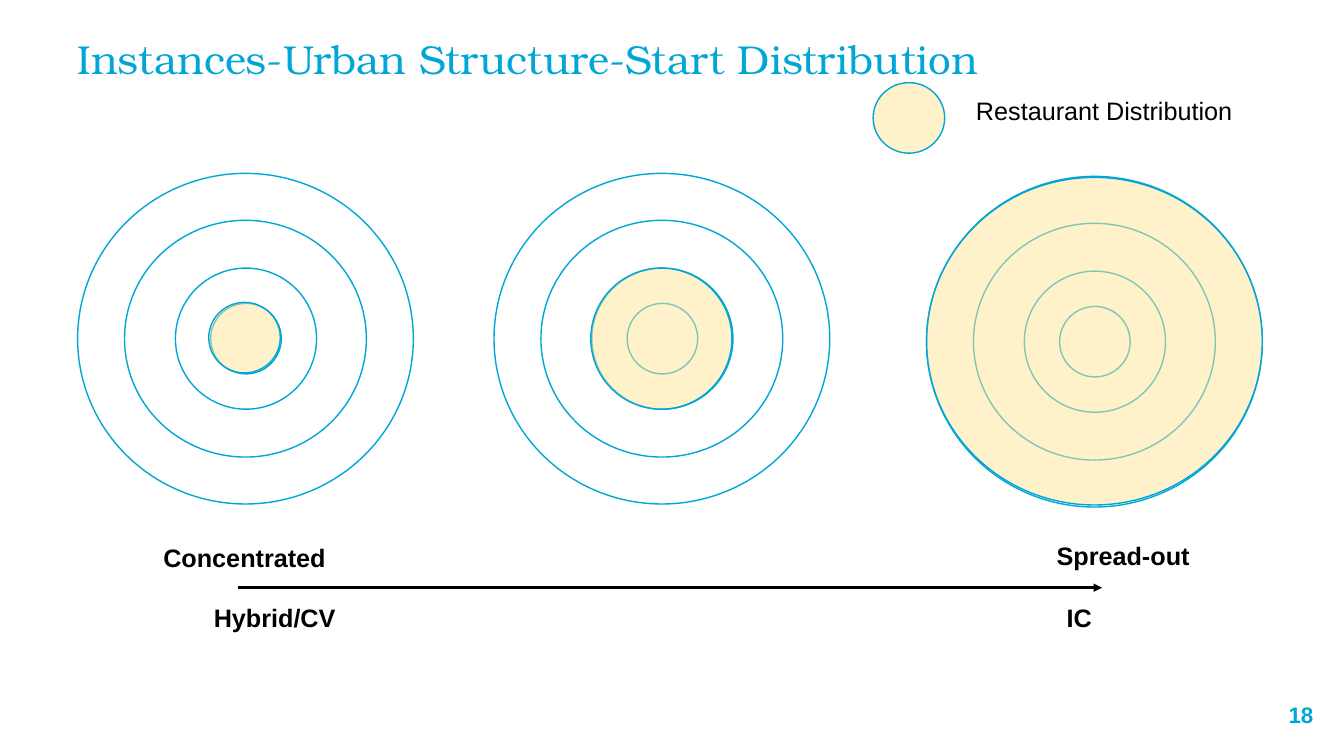
from pptx import Presentation, util as u
from pptx.dml.color import RGBColor
from pptx.enum import shapes, text
from pptx.oxml.ns import qn
from lxml import etree

COLORS = {"cyan": "00A6D6", "white": "FFFFFF", "sand": "FFE798", "black": "000000"}
PX = 9144  # 100 px to the inch

# Outer ring corner of each city, and the box its restaurants cover
CITIES = [
    ((77, 172), (207, 300, 71, 70)),
    ((490, 172), (586, 266, 140, 140)),
    ((919, 175), (919, 176, 333, 325)),
]
OUTER_SIZE = (333, 328)
OUTER_BAND = 0.142
INNER_OFFSET = (97, 94)
INNER_SIZE = (140, 140)
INNER_BAND = 0.25
LEGEND_SPOT = (866, 82, 71, 70)
AXIS = (236, 583, 1093, 583)

TITLE = ("Instances-Urban Structure-Start Distribution", (77, 39, 1178, 54))
# text, box, size, bold, colour
LABELS = [
    ("Concentrated", (157, 533, 173, 40), 18, True, "black"),
    ("Spread-out", (1043, 531, 264, 40), 18, True, "black"),
    ("Hybrid/CV", (207, 593, 188, 40), 18, True, "black"),
    ("IC", (1053, 593, 64, 40), 18, True, "black"),
    ("Restaurant Distribution", (963, 90, 268, 40), 18, False, "black"),
    ("18", (1273, 691, 43, 37), 16, True, "cyan"),
]


def emu(lengths):
    return [length * PX for length in lengths]


def color(name):
    return RGBColor.from_string(COLORS[name])


def add_round(page, kind, box, fill):
    shape = page.shapes.add_shape(kind, *emu(box))
    shape.shadow.inherit = False
    shape.fill.solid()
    shape.fill.fore_color.rgb = color(fill)
    shape.line.color.rgb = color("cyan")
    shape.line.width = u.Pt(1)
    return shape


def add_ring(page, corner, size, band):
    ring = add_round(page, shapes.MSO_SHAPE.DONUT, (*corner, *size), "white")
    ring.adjustments[0] = band


def add_spot(page, box):
    """Half-transparent disc that marks where restaurants lie."""
    spot = add_round(page, shapes.MSO_SHAPE.OVAL, box, "sand")
    tint = spot.fill._xPr.find(qn("a:solidFill"))[0]
    etree.SubElement(tint, qn("a:alpha"), val="50000")


def add_text(page, words, box, size, bold, tone, face="Arial", inset=5):
    frame = page.shapes.add_textbox(*emu(box)).text_frame
    frame.word_wrap = True
    frame.vertical_anchor = text.MSO_ANCHOR.TOP
    frame.margin_left = frame.margin_right = inset * PX
    frame.margin_top = frame.margin_bottom = inset * PX
    para = frame.paragraphs[0]
    para.text = words
    para.font.name = face
    para.font.size = u.Pt(size)
    para.font.bold = bold
    para.font.color.rgb = color(tone)
    return para


def add_axis(page):
    axis = page.shapes.add_connector(shapes.MSO_CONNECTOR.STRAIGHT, *emu(AXIS))
    axis.line.color.rgb = color("black")
    axis.line.width = u.Pt(2)
    etree.SubElement(axis.line._get_or_add_ln(), qn("a:tailEnd"), type="triangle")
    etree.SubElement(axis._element.spPr, qn("a:effectLst"))


def main():
    deck = Presentation()
    deck.slide_width, deck.slide_height = emu((1333, 750))
    page = deck.slides.add_slide(deck.slide_layouts[6])

    title = add_text(page, *TITLE, 28.8, False, "cyan", "TeX Gyre Bonum", 0)
    title.line_spacing = 0.9

    for corner, restaurants in CITIES:
        inner = [start + step for start, step in zip(corner, INNER_OFFSET)]
        add_ring(page, inner, INNER_SIZE, INNER_BAND)
        add_ring(page, corner, OUTER_SIZE, OUTER_BAND)
        add_spot(page, restaurants)
    add_spot(page, LEGEND_SPOT)

    add_axis(page)
    for label in LABELS:
        add_text(page, *label)
    deck.save("out.pptx")


if __name__ == "__main__":
    main()
